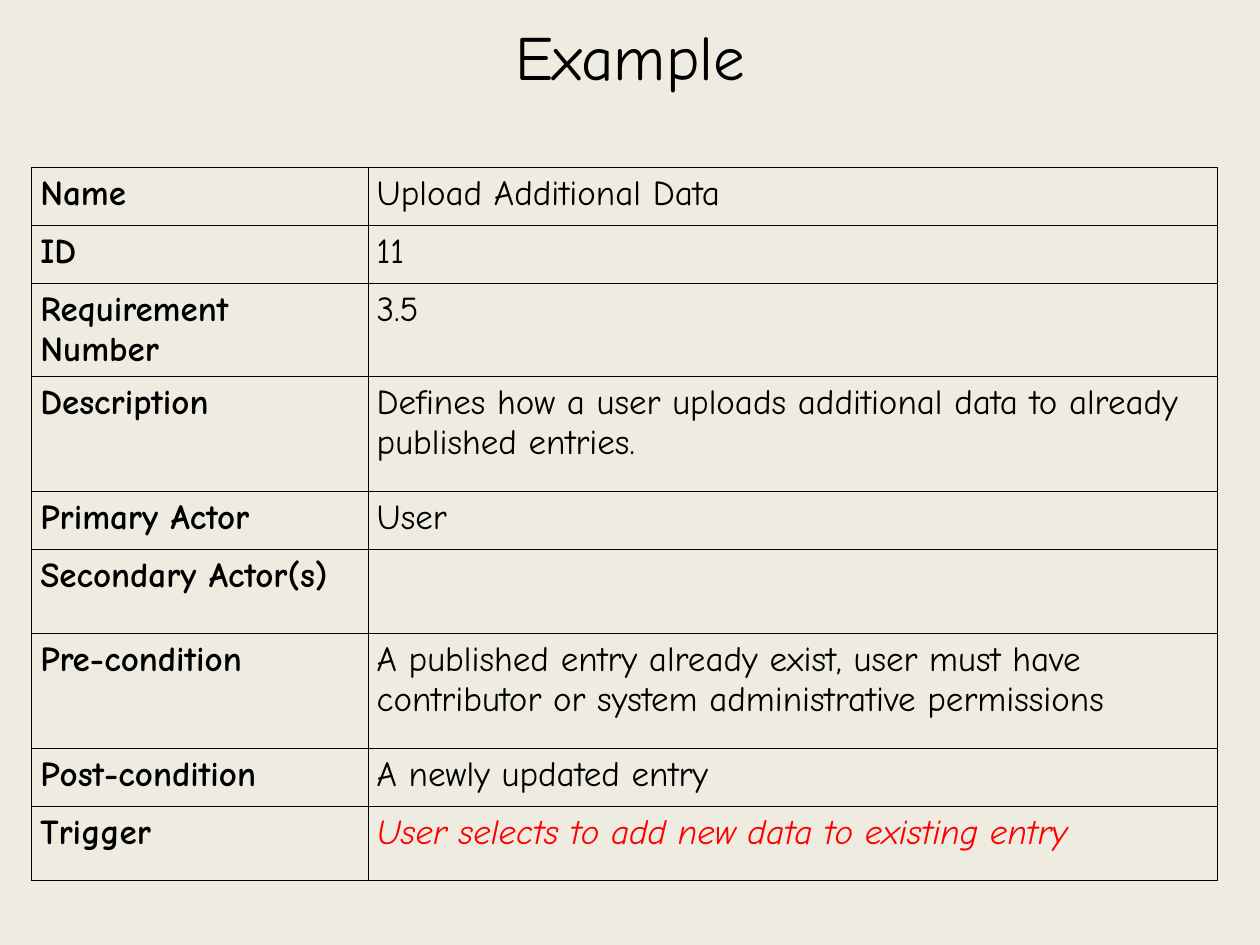
from lxml.etree import SubElement
from pptx import Presentation
from pptx.dml.color import RGBColor
from pptx.enum.text import MSO_ANCHOR, PP_ALIGN
from pptx.oxml.ns import qn
from pptx.util import Inches, Pt

BACKGROUND = RGBColor(0xEE, 0xEC, 0xE1)
BLACK = RGBColor(0x00, 0x00, 0x00)
RED = RGBColor(0xFF, 0x00, 0x00)

ROWS = [
    (0.46, "Name", "Upload Additional Data"),
    (0.46, "ID", "11"),
    (0.67, "Requirement Number", "3.5"),
    (0.91, "Description", "Defines how a user uploads additional data to already published entries."),
    (0.46, "Primary Actor", "User"),
    (0.67, "Secondary Actor(s)", ""),
    (0.91, "Pre-condition",
     "A published entry already exist, user must have contributor or system administrative permissions"),
    (0.46, "Post-condition", "A newly updated entry"),
    (0.59, "Trigger", "User selects to add new data to existing entry"),
]


class UseCaseSlide:
    """Holds the style and the current slide, and adds its elements."""

    font = "Comic Neue"
    border = Pt(0.45)

    def __init__(self, prs):
        self.s = prs.slides.add_slide(prs.slide_layouts[5])
        fill = self.s.background.fill
        fill.solid()
        fill.fore_color.rgb = BACKGROUND

    def run(self, p, text, size, color=BLACK, bold=False, italic=False):
        r = p.add_run()
        r.text = text
        f = r.font
        f.name, f.size, f.bold, f.italic = self.font, Pt(size), bold, italic
        f.color.rgb = color

    def title(self, text):
        sp = self.s.shapes.title
        sp.left, sp.top, sp.width, sp.height = 0, 0, Inches(10), Inches(0.87)
        tf = sp.text_frame
        tf.vertical_anchor = MSO_ANCHOR.MIDDLE
        p = tf.paragraphs[0]
        p.alignment = PP_ALIGN.CENTER
        self.run(p, text, 36)

    def borders(self, cell):
        tc_pr = cell._tc.get_or_add_tcPr()
        for i, side in enumerate(("a:lnL", "a:lnR", "a:lnT", "a:lnB")):
            ln = SubElement(tc_pr, qn(side), w=str(self.border))
            tc_pr.insert(i, ln)
            fill = SubElement(ln, qn("a:solidFill"))
            SubElement(fill, qn("a:srgbClr"), val=str(BLACK))

    def cell(self, cell, text, **style):
        cell.margin_left = cell.margin_right = Inches(0.07)
        cell.margin_top = cell.margin_bottom = Inches(0.05)
        cell.vertical_anchor = MSO_ANCHOR.TOP
        cell.fill.background()
        self.borders(cell)
        if text:
            self.run(cell.text_frame.paragraphs[0], text, 20, **style)

    def table(self, left, top, widths, rows):
        height = sum(row[0] for row in rows)
        frame = self.s.shapes.add_table(len(rows), len(widths), Inches(left), Inches(top),
                                        Inches(sum(widths)), Inches(height))
        table = frame.table
        table.first_row = table.horz_banding = False
        for column, width in zip(table.columns, widths):
            column.width = Inches(width)
        for i, (row_height, label, value) in enumerate(rows):
            table.rows[i].height = Inches(row_height)
            style = {"color": RED, "italic": True} if label == "Trigger" else {}
            self.cell(table.cell(i, 0), label, bold=True)
            self.cell(table.cell(i, 1), value, **style)


def main():
    prs = Presentation()
    prs.slide_width, prs.slide_height = Inches(10), Inches(7.5)
    slide = UseCaseSlide(prs)
    slide.title("Example")
    slide.table(0.25, 1.33, (2.67, 6.74), ROWS)
    prs.save("out.pptx")


if __name__ == "__main__":
    main()
